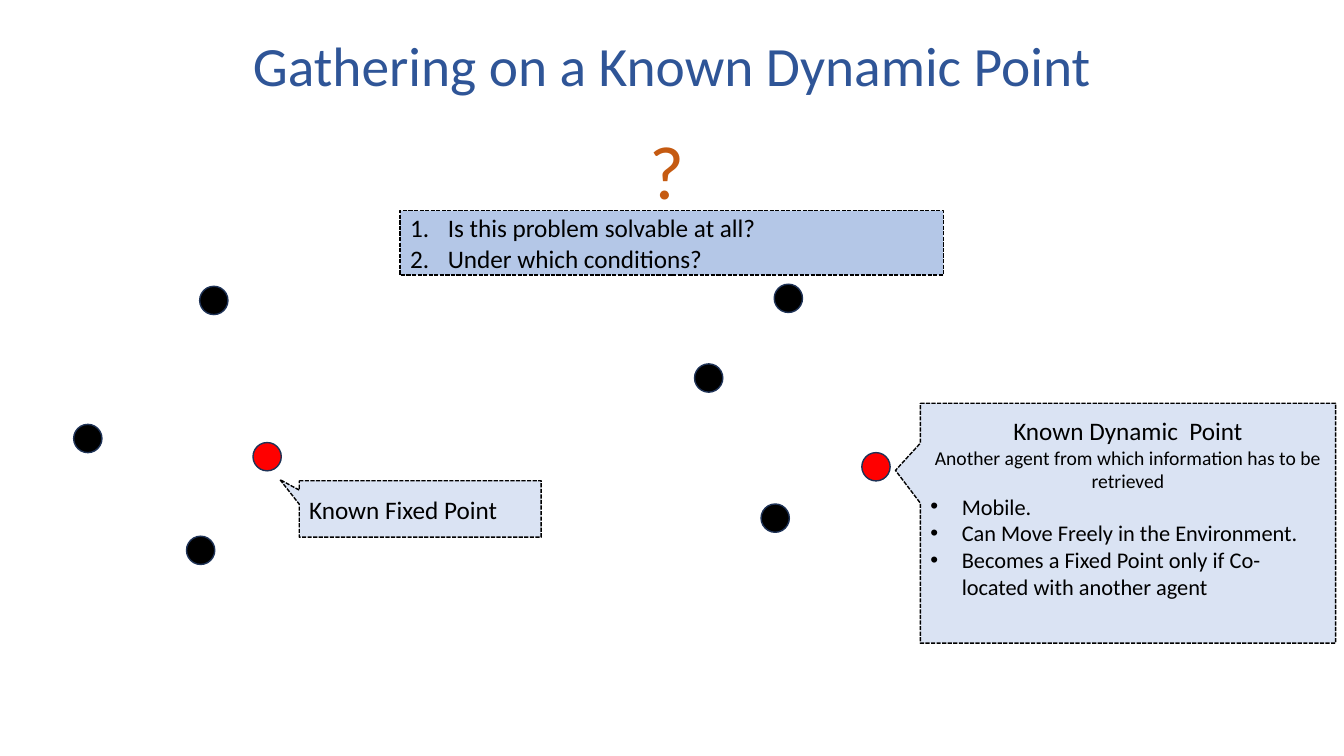
from dataclasses import dataclass

from lxml import etree
from pptx import Presentation
from pptx.dml.color import RGBColor
from pptx.enum.dml import MSO_LINE
from pptx.enum.shapes import MSO_SHAPE
from pptx.enum.text import MSO_ANCHOR, MSO_AUTO_SIZE, PP_ALIGN
from pptx.oxml.ns import qn
from pptx.shapes.autoshape import Shape
from pptx.slide import Slide
from pptx.text.text import TextFrame, _Paragraph
from pptx.util import Pt

LEFT, CENTER = PP_ALIGN.LEFT, PP_ALIGN.CENTER
MIDDLE = MSO_ANCHOR.MIDDLE
ELLIPSE, RECTANGLE = MSO_SHAPE.OVAL, MSO_SHAPE.RECTANGLE
CALLOUT = MSO_SHAPE.RECTANGULAR_CALLOUT
DASH = MSO_LINE.SQUARE_DOT

FONT = "Calibri"
BLACK, RED, DOT_EDGE = "000000", "FF0000", "1E3256"
TITLE_BLUE, PALE_BLUE, MID_BLUE, ORANGE = "2F5597", "DAE3F3", "B4C7E7", "C55A11"
DOT_SIZE = 20.2


@dataclass(frozen=True)
class Dot:
    left: float
    top: float
    color: str = BLACK


@dataclass(frozen=True)
class Line:
    text: str
    size: float = 18
    align: PP_ALIGN = LEFT
    color: str = BLACK
    marker: str = ""
    indent: float = 0


@dataclass(frozen=True)
class Box:
    left: float
    top: float
    width: float
    height: float
    fill: str
    lines: tuple[Line, ...]
    kind: MSO_SHAPE = CALLOUT
    tip: tuple[float, ...] = ()
    bottom_margin: float = 3.6


DOTS = (
    Dot(133.2, 383), Dot(142.6, 204.5), Dot(180.7, 316.1, RED), Dot(52.6, 303.1),
    Dot(553, 203), Dot(543.6, 360), Dot(615.6, 323.3, RED), Dot(496.1, 259.9),
)

BOXES = (
    Box(213.8, 343.4, 172.8, 40.3, PALE_BLUE, (Line("Known Fixed Point"),),
        tip=(-0.58, -0.52)),
    Box(657.4, 288, 296.6, 171.4, PALE_BLUE, (
        Line("Known Dynamic  Point", align=CENTER),
        Line("Another agent from which information has to be retrieved", 14, CENTER),
        Line("Mobile.", 16, marker="•", indent=22.5),
        Line("Can Move Freely in the Environment.", 16, marker="•", indent=22.5),
        Line("Becomes a Fixed Point only if Co-located with another agent", 16,
             marker="•", indent=22.5),
    ), tip=(-0.56, -0.22), bottom_margin=25.6),
    Box(285.8, 150.5, 388.1, 46.1, MID_BLUE, (
        Line("Is this problem solvable at all?", marker="1.", indent=27),
        Line("Under which conditions?", marker="1.", indent=27),
    ), kind=RECTANGLE),
)


def rgb(color: str) -> RGBColor:
    return RGBColor.from_string(color)


def set_marker(paragraph: _Paragraph, line: Line) -> None:
    """Give the paragraph a hanging bullet or an automatic number."""
    properties = paragraph._p.get_or_add_pPr()
    properties.set("marL", str(Pt(line.indent)))
    properties.set("indent", str(-Pt(line.indent)))
    if line.marker == "1.":
        etree.SubElement(properties, qn("a:buFont"), typeface="+mj-lt")
        etree.SubElement(properties, qn("a:buAutoNum"), type="arabicPeriod")
    else:
        etree.SubElement(properties, qn("a:buFont"), typeface="Arial")
        etree.SubElement(properties, qn("a:buChar"), char=line.marker)


def write_lines(frame: TextFrame, lines: tuple[Line, ...]) -> None:
    for number, line in enumerate(lines):
        paragraph = frame.add_paragraph() if number else frame.paragraphs[0]
        paragraph.alignment = line.align
        if line.marker:
            set_marker(paragraph, line)
        run = paragraph.add_run()
        run.text = line.text
        run.font.name = FONT
        run.font.size = Pt(line.size)
        run.font.color.rgb = rgb(line.color)


def add_filled_shape(slide: Slide, kind: MSO_SHAPE, left: float, top: float,
                     width: float, height: float, fill: str, edge: str) -> Shape:
    shape = slide.shapes.add_shape(kind, Pt(left), Pt(top), Pt(width), Pt(height))
    shape.shadow.inherit = False
    shape.fill.solid()
    shape.fill.fore_color.rgb = rgb(fill)
    shape.line.color.rgb = rgb(edge)
    shape.line.width = Pt(1)
    return shape


def add_dot(slide: Slide, dot: Dot) -> None:
    add_filled_shape(slide, ELLIPSE, dot.left, dot.top, DOT_SIZE, DOT_SIZE,
                     dot.color, DOT_EDGE)


def add_box(slide: Slide, box: Box) -> None:
    shape = add_filled_shape(slide, box.kind, box.left, box.top, box.width,
                             box.height, box.fill, BLACK)
    shape.line.dash_style = DASH
    for number, value in enumerate(box.tip):
        shape.adjustments[number] = value
    frame = shape.text_frame
    frame.word_wrap = True
    frame.vertical_anchor = MIDDLE
    frame.margin_bottom = Pt(box.bottom_margin)
    write_lines(frame, box.lines)


def set_title(slide: Slide) -> None:
    title = slide.shapes.title
    title.left, title.top = Pt(66), Pt(28.8)
    title.width, title.height = Pt(828), Pt(40.3)
    frame = title.text_frame
    frame.auto_size = MSO_AUTO_SIZE.NONE
    frame.vertical_anchor = MIDDLE
    write_lines(frame, (
        Line("Gathering on a Known Dynamic Point", 39.6, CENTER, TITLE_BLUE),))
    frame.paragraphs[0].line_spacing = 0.9


def add_question_mark(slide: Slide) -> None:
    text_box = slide.shapes.add_textbox(Pt(456.5), Pt(85), Pt(39.6), Pt(72.7))
    frame = text_box.text_frame
    frame.word_wrap = False
    frame.auto_size = MSO_AUTO_SIZE.SHAPE_TO_FIT_TEXT
    write_lines(frame, (Line("?", 54, CENTER, ORANGE),))


def main() -> None:
    presentation = Presentation()
    presentation.slide_width, presentation.slide_height = Pt(960), Pt(540)
    slide = presentation.slides.add_slide(
        presentation.slide_layouts.get_by_name("Title Only"))
    set_title(slide)
    add_question_mark(slide)
    for box in BOXES:
        add_box(slide, box)
    for dot in DOTS:
        add_dot(slide, dot)
    presentation.save("out.pptx")


if __name__ == "__main__":
    main()
